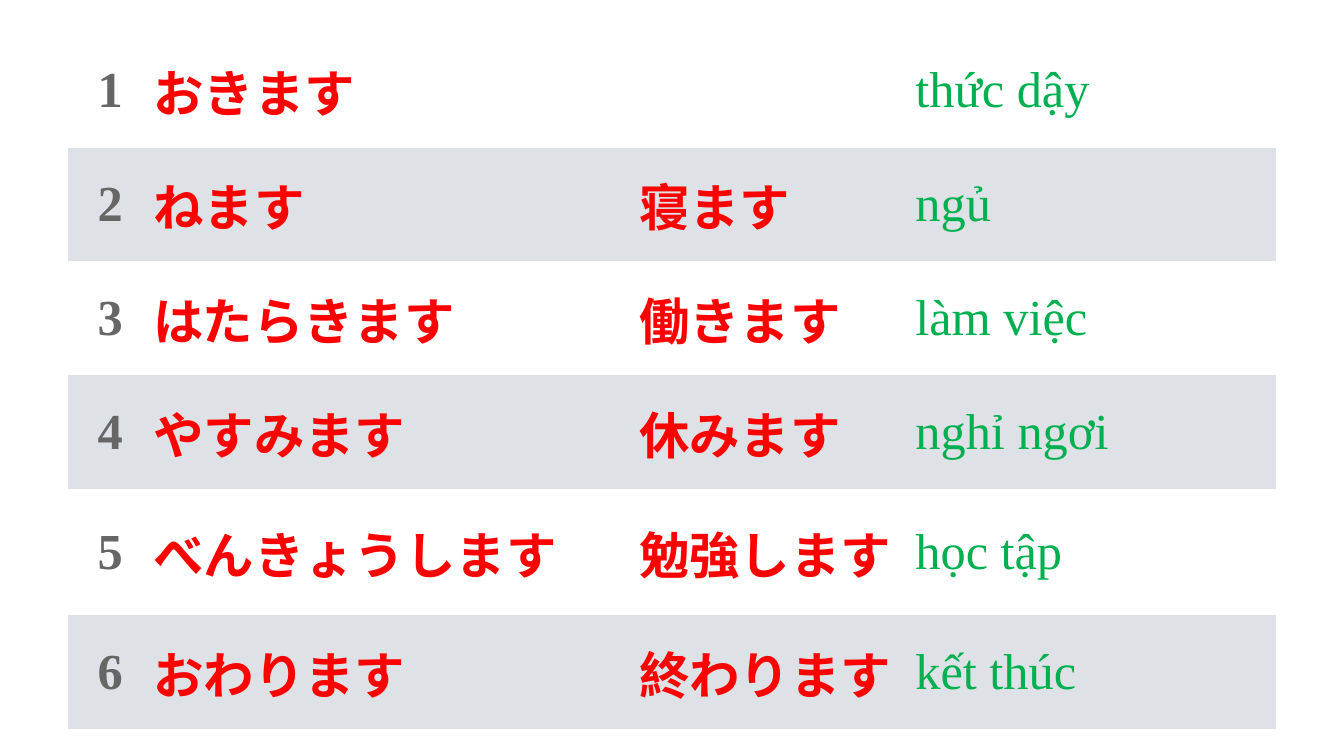
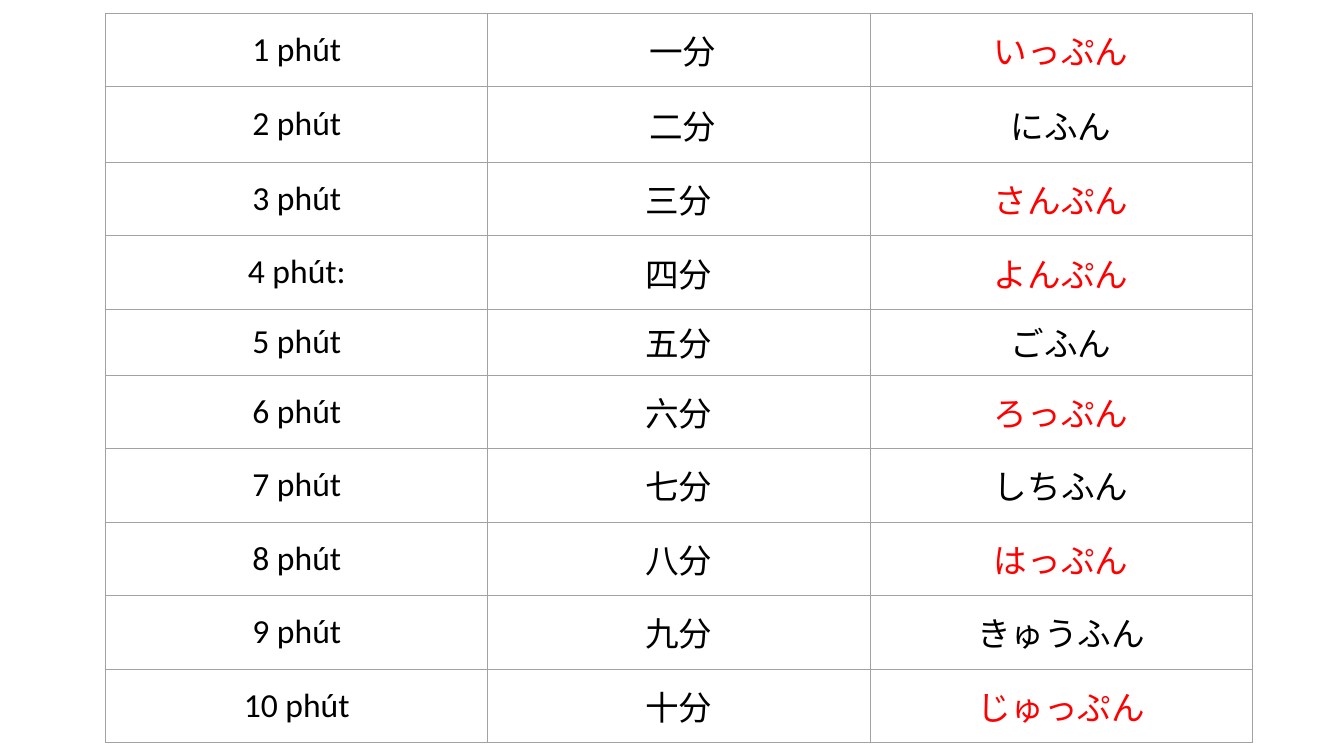
from lxml import etree
from pptx import Presentation
from pptx.dml.color import RGBColor
from pptx.enum import text
from pptx.oxml import ns
from pptx.util import Pt

WHITE, GREY_BAND, GRID = "FFFFFF", "DEE2E6", "A2A2A2"
GREY, RED, GREEN, BLACK = "666666", "FF0000", "00B050", "000000"
SERIF, SANS, JAPANESE = "Times New Roman", "Calibri", "Noto Sans CJK JP"
NO_STYLE = "{2D5ABB26-0587-4C30-8999-92F81FD0307C}"
LEFT, CENTER = text.PP_ALIGN.LEFT, text.PP_ALIGN.CENTER

# Content
VERBS = [
    ("おきます", "", "thức dậy"),
    ("ねます", "寝ます", "ngủ"),
    ("はたらきます", "働きます", "làm việc"),
    ("やすみます", "休みます", "nghỉ ngơi"),
    ("べんきょうします", "勉強します", "học tập"),
    ("おわります", "終わります", "kết thúc"),
]
MINUTES = [
    ("1 phút", " 一分", "いっぷん"),
    ("2 phút", " 二分", "にふん"),
    ("3 phút", "三分", "さんぷん"),
    ("4 phút:", "四分", "よんぷん"),
    ("5 phút", "五分", "ごふん"),
    ("6 phút", "六分", "ろっぷん"),
    ("7 phút", "七分", "しちふん"),
    ("8 phút", "八分", "はっぷん"),
    ("9 phút", "九分", "きゅうふん"),
    ("10 phút", "十分", "じゅっぷん"),
]

# Text formats of the verb columns
NUMBER = dict(size=36, name=SERIF, color=GREY, bold=True, align=CENTER)
VERB = dict(size=36, name=JAPANESE, color=RED, bold=True, align=LEFT)
MEANING = dict(size=36, name=SERIF, color=GREEN, bold=False, align=LEFT)
VERB_FORMATS = (NUMBER, VERB, VERB, MEANING)


def rgb(value):
    return RGBColor.from_string(value)


def verb_style(row, col):
    return VERB_FORMATS[col], (WHITE, GREY_BAND)[row % 2]


def minute_style(row, col):
    # Readings that change to "pun" stand out in red
    color = RED if "ぷ" in MINUTES[row][col] else BLACK
    return dict(size=24, name=SANS, color=color, bold=False, align=CENTER), WHITE


def write(cell, content, style):
    p = cell.text_frame.paragraphs[0]
    p.alignment = style["align"]
    r = p.add_run()
    r.text = content
    for key in ("name", "bold"):
        setattr(r.font, key, style[key])
    r.font.size = Pt(style["size"])
    r.font.color.rgb = rgb(style["color"])
    east_asian = etree.SubElement(r.font._element, ns.qn("a:ea"))
    east_asian.set("typeface", JAPANESE)


def add_borders(cell, color, width):
    tcPr = cell._tc.get_or_add_tcPr()
    for i, side in enumerate(("lnL", "lnR", "lnT", "lnB")):
        ln = etree.Element(ns.qn("a:" + side), w=str(Pt(width)))
        fill = etree.SubElement(ln, ns.qn("a:solidFill"))
        etree.SubElement(fill, ns.qn("a:srgbClr"), val=color)
        tcPr.insert(i, ln)


def add_grid(prs, rows, left, top, widths, heights, style_of, border=None):
    s = prs.slides.add_slide(prs.slide_layouts[6])
    frame = s.shapes.add_table(len(rows), len(widths), Pt(left), Pt(top),
                               Pt(sum(widths)), Pt(sum(heights)))
    table = frame.table
    table.first_row = table.horz_banding = False
    table._tbl.tblPr.find(ns.qn("a:tableStyleId")).text = NO_STYLE
    for column, width in zip(table.columns, widths):
        column.width = Pt(width)
    for row, height in zip(table.rows, heights):
        row.height = Pt(height)

    for i, values in enumerate(rows):
        for j, content in enumerate(values):
            cell = table.cell(i, j)
            style, fill = style_of(i, j)
            cell.fill.solid()
            cell.fill.fore_color.rgb = rgb(fill)
            cell.vertical_anchor = text.MSO_ANCHOR.MIDDLE
            for side in ("left", "right", "top", "bottom"):
                setattr(cell, "margin_" + side, Pt(0.7))
            if content:
                write(cell, content, style)
            if border:
                add_borders(cell, border, 0.75)


def main():
    prs = Presentation()
    prs.slide_width, prs.slide_height = Pt(960), Pt(540)

    # Verb list
    numbered = [(str(n), *verb) for n, verb in enumerate(VERBS, 1)]
    add_grid(prs, numbered, 48.4, 24, (60.5, 347, 197.3, 258.5),
             [81.4] * 4 + [90, 81.4], verb_style)

    # Minute readings
    add_grid(prs, MINUTES, 75.5, 9.4, [273] * 3,
             [52.5, 54, 52.5, 52.5, 47] + [52.5] * 5, minute_style, GRID)

    prs.save("out.pptx")


if __name__ == "__main__":
    main()
